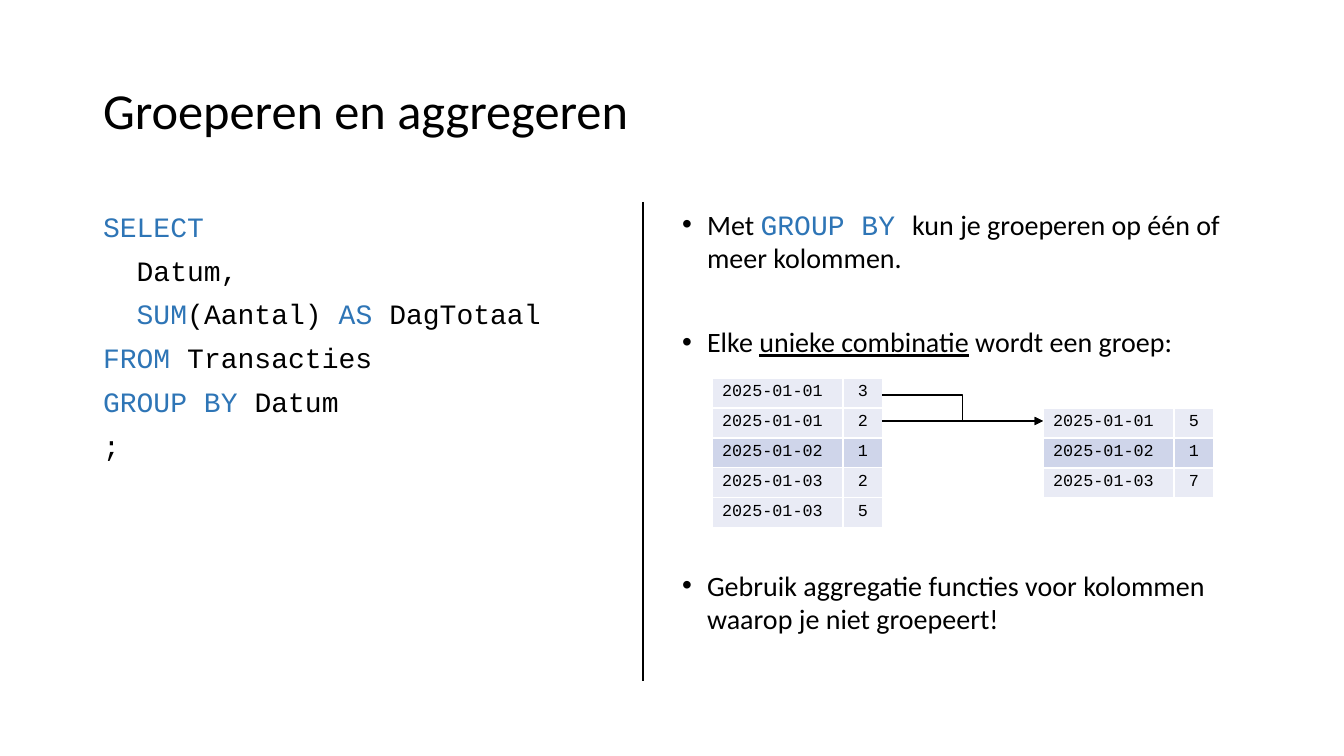
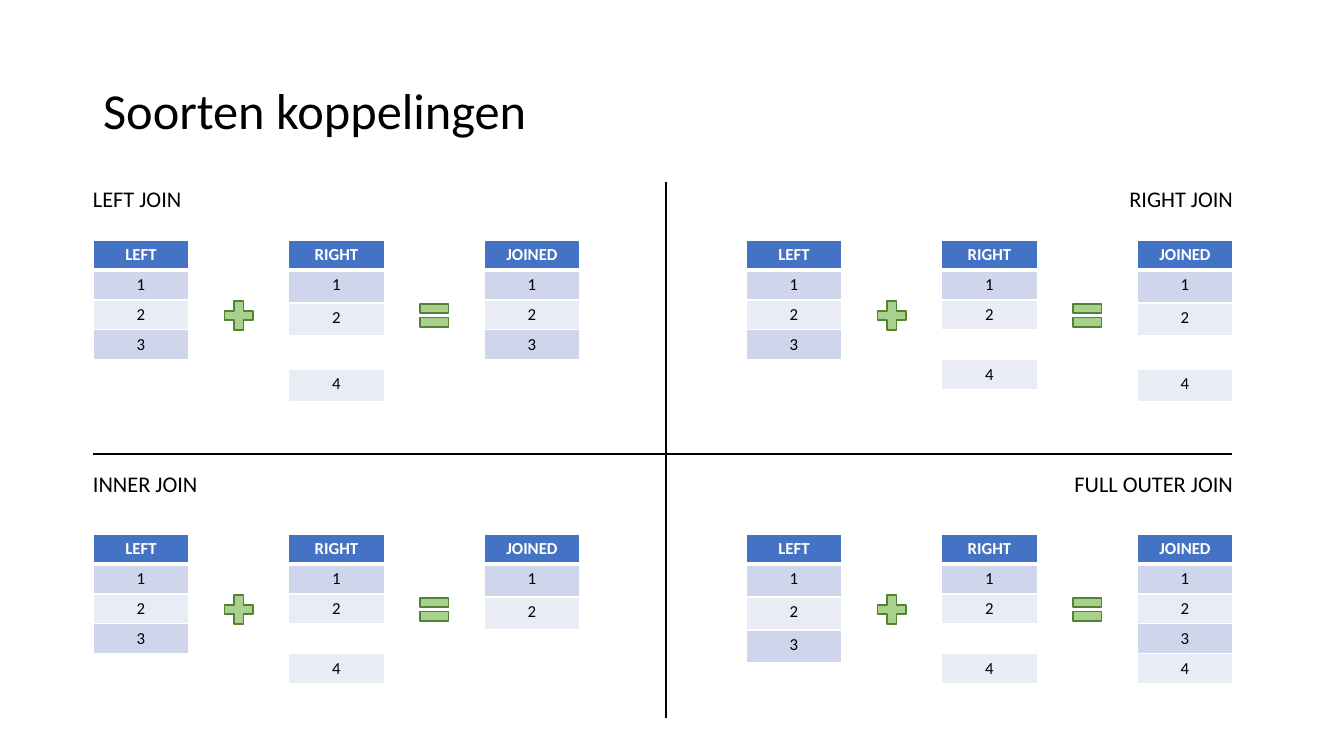
"""Build two slides on SQL grouping and join types."""
from lxml.etree import SubElement
from pptx import Presentation
from pptx.dml.color import RGBColor
from pptx.enum.shapes import MSO_CONNECTOR, MSO_SHAPE
from pptx.enum.text import MSO_ANCHOR, MSO_AUTO_SIZE, PP_ALIGN
from pptx.oxml.ns import qn
from pptx.util import Emu, Pt

EMU_PER_PX = 914400 / 100.8
SANS, MONO = "Calibri", "Courier New"
COLORS = {
    "text": "000000", "keyword": "2E75B6", "white": "FFFFFF", "header": "4472C4",
    "dark": "CFD5EA", "light": "E9EBF5", "sign": "A9D18E", "sign_line": "548235",
}
NO_TABLE_STYLE = "{2D5ABB26-0587-4C30-8999-92F81FD0307C}"

STYLES = {
    "plain": (SANS, "text", False),
    "underlined": (SANS, "text", True),
    "code": (MONO, "text", False),
    "keyword": (MONO, "keyword", False),
}
QUERY = [
    [("SELECT", "keyword")],
    [("  Datum,", "code")],
    [("  SUM", "keyword"), ("(Aantal) ", "code"), ("AS ", "keyword"), ("DagTotaal", "code")],
    [("FROM", "keyword"), (" Transacties", "code")],
    [("GROUP BY", "keyword"), (" Datum", "code")],
    [(";", "code")],
]
EXPLANATION = [
    [("Met ", "plain"), ("GROUP BY ", "keyword"),
     ("kun je groeperen op één of meer kolommen.", "plain")],
    [("Elke ", "plain"), ("unieke combinatie", "underlined"), (" wordt een groep:", "plain")],
    [("Gebruik aggregatie functies voor kolommen waarop je niet groepeert!", "plain")],
]
QUERY_GAPS = [0] + [7.4] * 5
EXPLANATION_GAPS = [0, 36, 150]
DETAIL_ROWS = [("2025-01-01", "3"), ("2025-01-01", "2"), ("2025-01-02", "1"),
               ("2025-01-03", "2"), ("2025-01-03", "5")]
GROUPED_ROWS = [("2025-01-01", "5"), ("2025-01-02", "1"), ("2025-01-03", "7")]

LEFT_KEYS = ("LEFT", "1", "2", "3", "")
RIGHT_KEYS = ("RIGHT", "1", "2", "", "4")
ROW, TALL_ROW = 30, 33
JOINS = [
    ("LEFT JOIN", 0, 0, ("JOINED", "1", "2", "3", ""), (ROW, TALL_ROW, ROW)),
    ("RIGHT JOIN", 1, 0, ("JOINED", "1", "2", "", "4"), (ROW, ROW, TALL_ROW)),
    ("INNER JOIN", 0, 1, ("JOINED", "1", "2", "", ""), (ROW, ROW, TALL_ROW)),
    ("FULL OUTER JOIN", 1, 1, ("JOINED", "1", "2", "3", "4"), (TALL_ROW, ROW, ROW)),
]
QUADRANT_LEFTS, LABEL_TOPS, TABLE_TOPS = (93, 746), (180, 465), (240, 534)
QUADRANT_WIDTH, KEY_WIDTH, SIGN_SIZE, SIGN_DROP = 487, 96, 39, 56


def px(length):
    return Emu(round(length * EMU_PER_PX))


def box(*lengths):
    return [px(length) for length in lengths]


def color(name):
    return RGBColor.from_string(COLORS[name])


def format_font(font, name, size, color_name, bold=False):
    font.name, font.size, font.bold = name, Pt(size), bold
    font.color.rgb = color(color_name)


def place(shape, left, top, width, height):
    shape.left, shape.top, shape.width, shape.height = box(left, top, width, height)


def add_titled_slide(presentation, layout_index, title):
    slide = presentation.slides.add_slide(presentation.slide_layouts[layout_index])
    shape = slide.shapes.title
    place(shape, 93, 40, 1159, 146)
    frame = shape.text_frame
    frame.text = title
    frame.vertical_anchor = MSO_ANCHOR.MIDDLE
    frame.auto_size = MSO_AUTO_SIZE.NONE
    paragraph = frame.paragraphs[0]
    paragraph.alignment, paragraph.line_spacing = PP_ALIGN.LEFT, 0.9
    format_font(paragraph.runs[0].font, SANS, 36, "text")
    return slide


def fill_body(shape, paragraphs, gaps, bulleted):
    frame = shape.text_frame
    frame.auto_size = MSO_AUTO_SIZE.NONE
    for index, (pieces, gap) in enumerate(zip(paragraphs, gaps)):
        paragraph = frame.add_paragraph() if index else frame.paragraphs[0]
        paragraph.alignment, paragraph.line_spacing = PP_ALIGN.LEFT, 1.0
        paragraph.space_before, paragraph.space_after = Pt(gap), Pt(0)
        properties = paragraph._p.get_or_add_pPr()
        indent = px(25) if bulleted else 0
        properties.set("marL", str(indent))
        properties.set("indent", str(-indent))
        if bulleted:
            SubElement(properties, qn("a:buFont"), typeface="Arial")
            SubElement(properties, qn("a:buChar"), char="•")
        else:
            SubElement(properties, qn("a:buNone"))
        for text, style in pieces:
            run = paragraph.add_run()
            run.text = text
            font_name, color_name, underlined = STYLES[style]
            format_font(run.font, font_name, 20, color_name)
            run.font.underline = underlined


def add_line(slide, start, end, width, kind=MSO_CONNECTOR.STRAIGHT, arrow=False):
    connector = slide.shapes.add_connector(kind, *box(*start, *end))
    connector.line.color.rgb = color("text")
    connector.line.width = Pt(width)
    if arrow:
        SubElement(connector.line._get_or_add_ln(), qn("a:tailEnd"), type="triangle")
    SubElement(connector._element.spPr, qn("a:effectLst"))


def set_borders(cell, top, bottom):
    properties = cell._tc.get_or_add_tcPr()
    for side, width in (("L", 1), ("R", 1), ("T", top), ("B", bottom)):
        line = SubElement(properties, qn(f"a:ln{side}"), w=str(Pt(width)))
        SubElement(SubElement(line, qn("a:solidFill")), qn("a:srgbClr"), val=COLORS["white"])


def add_grid(slide, left, top, widths, rows, fills, row_height, font_name, has_header):
    height = ROW + row_height * (len(rows) - 1)
    frame = slide.shapes.add_table(len(rows), len(widths), *box(left, top, sum(widths), height))
    table = frame.table
    table.first_row = table.horz_banding = False
    table._tbl.tblPr.find(qn("a:tableStyleId")).text = NO_TABLE_STYLE
    for column, width in zip(table.columns, widths):
        column.width = px(width)
    for row_index, (texts, fill) in enumerate(zip(rows, fills)):
        is_header = has_header and row_index == 0
        table.rows[row_index].height = px(row_height if row_index else ROW)
        for column_index, text in enumerate(texts):
            cell = table.cell(row_index, column_index)
            cell.margin_top, cell.margin_bottom = px(5), px(4)
            set_borders(cell, 3 if has_header and row_index == 1 else 1, 3 if is_header else 1)
            paragraph = cell.text_frame.paragraphs[0]
            if not text:
                cell.fill.background()
                paragraph._p.get_or_add_endParaRPr().set("sz", "1200")
                continue
            cell.fill.solid()
            cell.fill.fore_color.rgb = color(fill)
            run = paragraph.add_run()
            run.text = text
            centred = column_index == len(widths) - 1
            paragraph.alignment = PP_ALIGN.CENTER if centred else PP_ALIGN.LEFT
            format_font(run.font, font_name, 12, "white" if is_header else "text", is_header)


def add_date_table(slide, left, top, rows):
    fills = ["light" if int(date[-2:]) % 2 else "dark" for date, _ in rows]
    add_grid(slide, left, top, (131, 40), rows, fills, ROW, MONO, False)


def add_sign(slide, kind, left, top):
    sign = slide.shapes.add_shape(kind, *box(left, top, SIGN_SIZE, SIGN_SIZE))
    sign.shadow.inherit = False
    sign.fill.solid()
    sign.fill.fore_color.rgb = color("sign")
    sign.line.color.rgb = color("sign_line")
    sign.line.width = Pt(1)


def add_join(slide, label, column, row, joined, row_heights):
    left, top = QUADRANT_LEFTS[column], TABLE_TOPS[row]
    text_box = slide.shapes.add_textbox(*box(left, LABEL_TOPS[row], QUADRANT_WIDTH, 37))
    frame = text_box.text_frame
    frame.word_wrap = True
    frame.margin_left = frame.margin_right = 0
    frame.text = label
    paragraph = frame.paragraphs[0]
    paragraph.alignment = PP_ALIGN.RIGHT if column else PP_ALIGN.LEFT
    format_font(paragraph.runs[0].font, SANS, 16, "text")

    gap = (QUADRANT_WIDTH - 3 * KEY_WIDTH) / 2
    fills = ("header", "dark", "light", "dark", "light")
    for index, (keys, height) in enumerate(zip((LEFT_KEYS, RIGHT_KEYS, joined), row_heights)):
        rows = [(key,) for key in keys]
        add_grid(slide, left + index * (KEY_WIDTH + gap), top, (KEY_WIDTH,), rows, fills,
                 height, SANS, True)
    for index, kind in enumerate((MSO_SHAPE.MATH_PLUS, MSO_SHAPE.MATH_EQUAL)):
        sign_left = left + KEY_WIDTH + (gap - SIGN_SIZE) / 2 + index * (KEY_WIDTH + gap)
        add_sign(slide, kind, sign_left, top + SIGN_DROP)


def build_grouping_slide(presentation):
    slide = add_titled_slide(presentation, 3, "Groeperen en aggregeren")
    query, explanation = list(slide.placeholders)[1:3]
    place(query, 93, 204, 553, 478)
    fill_body(query, QUERY, QUERY_GAPS, False)
    place(explanation, 672, 202, 580, 480)
    fill_body(explanation, EXPLANATION, EXPLANATION_GAPS, True)
    add_line(slide, (643, 202), (643, 681), 1.5)
    add_date_table(slide, 712, 378, DETAIL_ROWS)
    add_date_table(slide, 1043, 408, GROUPED_ROWS)
    add_line(slide, (882, 395), (1043, 421), 1, MSO_CONNECTOR.ELBOW, arrow=True)
    add_line(slide, (882, 421), (1043, 421), 1, arrow=True)


def build_joins_slide(presentation):
    slide = add_titled_slide(presentation, 5, "Soorten koppelingen")
    add_line(slide, (666, 182), (666, 718), 1.5)
    add_line(slide, (93, 454), (1232, 454), 1.5)
    for join in JOINS:
        add_join(slide, *join)


def main():
    presentation = Presentation()
    presentation.slide_width, presentation.slide_height = box(1344, 756)
    build_grouping_slide(presentation)
    build_joins_slide(presentation)
    presentation.save("out.pptx")


if __name__ == "__main__":
    main()
